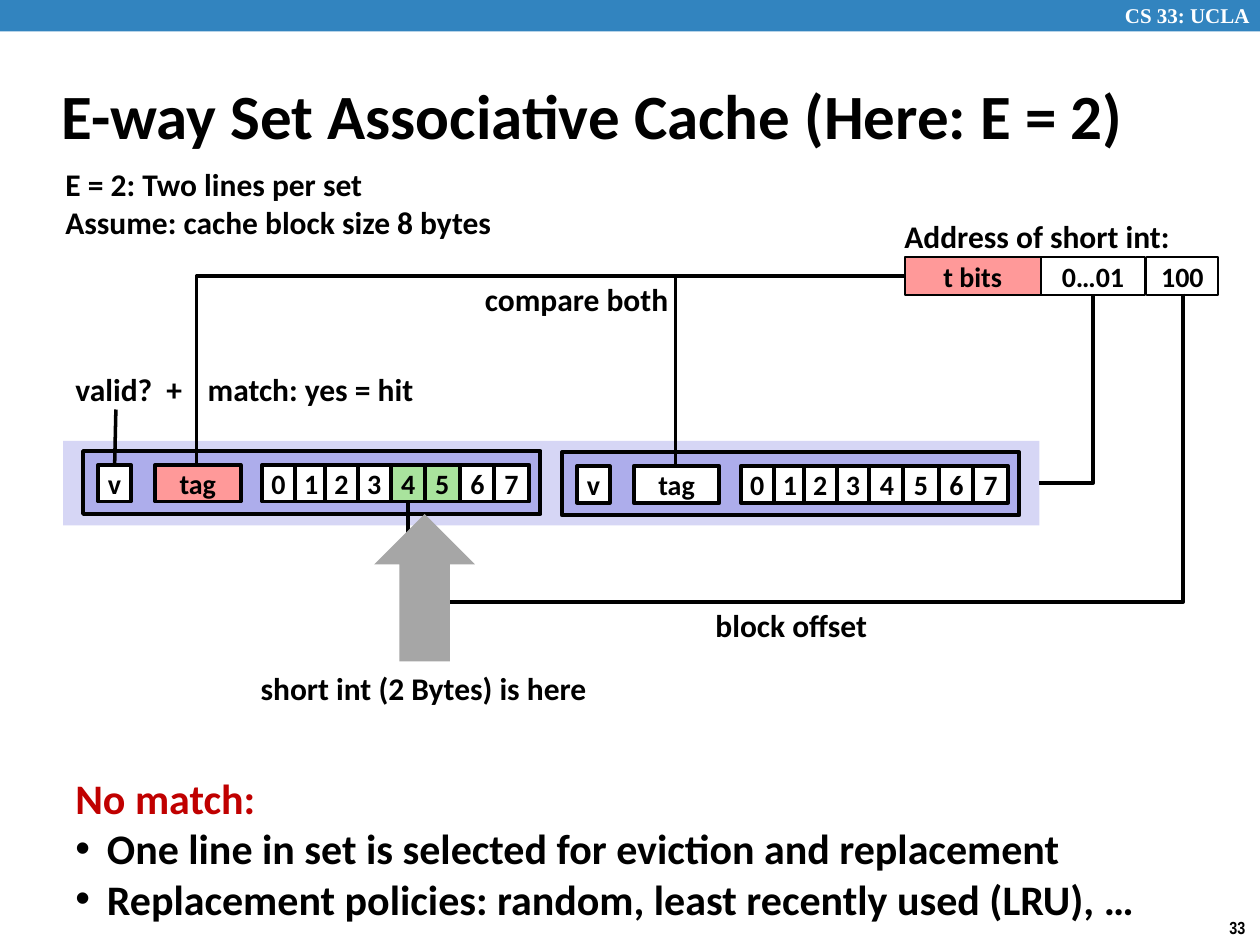
from dataclasses import dataclass

from lxml import etree
from pptx import Presentation
from pptx.dml.color import RGBColor
from pptx.enum import shapes, text
from pptx.oxml import ns
from pptx.util import Inches, Pt


@dataclass(frozen=True)
class Theme:
    """Colours, fonts and type sizes of the slide."""
    banner: str = "3284BF"
    white: str = "FFFFFF"
    black: str = "000000"
    tag: str = "FF9999"
    cache_set: str = "D6D6F5"
    way: str = "ADADEB"
    hit: str = "A9E39D"
    arrow: str = "A6A6A6"
    alert: str = "C00000"
    body_font: str = "Calibri"
    banner_font: str = "Times New Roman"
    number_font: str = "Arial Narrow"
    title: int = 36
    summary: int = 24
    label: int = 18
    cell: int = 16
    banner_size: int = 12
    number: int = 10


THEME = Theme()
BYTE_OFFSETS = (1.42, 1.68, 1.92, 2.18, 2.44, 2.71, 2.99, 3.26)


def rgb(colour):
    """Turn a hex string into a colour."""
    return RGBColor.from_string(colour)


def sub(parent, tag, **attrs):
    """Append a DrawingML element to a parent."""
    return etree.SubElement(parent, ns.qn(tag), attrs)


def write(tf, lines, size=THEME.label, font=THEME.body_font, colour=THEME.black,
          align=text.PP_ALIGN.LEFT, anchor=text.MSO_ANCHOR.TOP, wrap=False,
          grow=False, bulleted=(), first_colour=None):
    """Fill a text frame with bold paragraphs in the given format."""
    tf.word_wrap = wrap
    tf.vertical_anchor = anchor
    tf.auto_size = text.MSO_AUTO_SIZE.SHAPE_TO_FIT_TEXT if grow else text.MSO_AUTO_SIZE.NONE
    for i, line in enumerate(lines):
        p = tf.paragraphs[0] if i == 0 else tf.add_paragraph()
        p.alignment = align
        if i in bulleted:
            pPr = p._p.get_or_add_pPr()
            pPr.set("marL", str(Inches(0.25)))
            pPr.set("indent", str(Inches(-0.25)))
            sub(pPr, "a:buFont", typeface="Arial")
            sub(pPr, "a:buChar", char="•")
        r = p.add_run()
        r.text = line
        r.font.name, r.font.size, r.font.bold = font, Pt(size), True
        r.font.color.rgb = rgb(first_colour if first_colour and i == 0 else colour)


def label(s, box, *lines, grow=True, **fmt):
    """Add a text box."""
    sp = s.shapes.add_textbox(*map(Inches, box))
    write(sp.text_frame, lines, grow=grow, **fmt)
    return sp


def block(s, box, fill, line=None, caption=None, wrap=False,
          kind=shapes.MSO_SHAPE.RECTANGLE):
    """Add a filled shape with an optional outline width and centred caption."""
    sp = s.shapes.add_shape(kind, *map(Inches, box))
    sp.shadow.inherit = False
    sp.fill.solid()
    sp.fill.fore_color.rgb = rgb(fill)
    if line:
        sp.line.color.rgb = rgb(THEME.black)
        sp.line.width = Pt(line)
    else:
        sp.line.fill.background()
    if caption:
        write(sp.text_frame, [caption], size=THEME.cell, wrap=wrap,
              align=text.PP_ALIGN.CENTER, anchor=text.MSO_ANCHOR.MIDDLE)
    return sp


def wire(s, start, end, kind=shapes.MSO_CONNECTOR.STRAIGHT):
    """Add a black connector between two points."""
    c = s.shapes.add_connector(kind, *map(Inches, (*start, *end)))
    c.line.color.rgb = rgb(THEME.black)
    c.line.width = Pt(2)
    sub(c._element.spPr, "a:effectLst")
    return c


def elbow(s, box, preset, turn, flip=False, bend=None):
    """Add a bent connector whose unrotated box is turned by some degrees."""
    x, y, w, h = box
    c = wire(s, (x, y), (x + w, y + h), shapes.MSO_CONNECTOR.ELBOW)
    spPr = c._element.spPr
    xfrm = spPr.find(ns.qn("a:xfrm"))
    xfrm.set("rot", str(turn * 60000))
    if flip:
        xfrm.set("flipV", "1")
    geom = spPr.find(ns.qn("a:prstGeom"))
    geom.set("prst", preset)
    if bend:
        guides = geom.find(ns.qn("a:avLst"))
        if guides is None:
            guides = sub(geom, "a:avLst")
        sub(guides, "a:gd", name="adj1", fmla=f"val {bend}")


def frame(s, width):
    """Place the banner, page number and title."""
    block(s, (0, 0, width, 0.25), THEME.banner)
    label(s, (8.83, -0.03, 1.24, 0.3), "CS 33: UCLA", size=THEME.banner_size,
          font=THEME.banner_font, colour=THEME.white, wrap=True)
    label(s, (9.66, 7.23, 0.34, 0.27), "33", size=THEME.number, font=THEME.number_font)
    label(s, (0.39, 0.49, 9.02, 0.83), "E-way Set Associative Cache (Here: E = 2)",
          size=THEME.title, anchor=text.MSO_ANCHOR.MIDDLE, wrap=True, grow=False)


def address(s, x, y):
    """Place the address fields in a row with their heading."""
    label(s, (x - 0.1, y - 0.37, 2.33, 0.4), "Address of short int:")
    fields = (("t bits", 0, 1.08, THEME.tag), ("0…01", 1.08, 0.83, THEME.white),
              ("100", 1.92, 0.57, THEME.white))
    for caption, dx, w, fill in fields:
        block(s, (x + dx, y, w, 0.3), fill, 1, caption, wrap=True)


def cache_way(s, x, y, tag_fill=THEME.white, hits=()):
    """Place one cache line and return its valid-bit cell."""
    block(s, (x, y, 3.63, 0.5), THEME.way, 2.25)

    def cell(dx, w, caption, fill=THEME.white):
        """Place one cell inside the cache line."""
        return block(s, (x + dx, y + 0.11, w, 0.29), fill, 2.25, caption)

    for i, dx in enumerate(BYTE_OFFSETS):
        cell(dx, 0.26 if i < 4 else 0.28, str(i), THEME.hit if i in hits else THEME.white)
    cell(0.57, 0.68, "tag", tag_fill)
    return cell(0.12, 0.26, "v")


def cache_set(s, x, y):
    """Place the set with its two lines and return the first valid-bit cell."""
    block(s, (x, y, 7.75, 0.67), THEME.cache_set)
    valid = cache_way(s, x + 0.16, y + 0.08, THEME.tag, hits=(4, 5))
    cache_way(s, x + 3.96, y + 0.09)
    return valid


def lookup(s, valid):
    """Place the wires, their labels and the result arrow."""
    elbow(s, (7.71, 2.87, 1.5, 0.43), "bentConnector2", 90)
    for tag_x in (5.36, 1.56):
        elbow(s, (tag_x, 2.19, 7.18 - tag_x, 1.51), "bentConnector2", 180, flip=True)
    wire(s, (0.92, 3.25), (0.91, 3.69)).end_connect(valid, 0)
    elbow(s, (5.49, 0.08, 1.65, 6.15), "bentConnector3", 90, bend=148400)
    block(s, (2.97, 4.08, 0.8, 1.17), THEME.arrow, kind=shapes.MSO_SHAPE.UP_ARROW)
    label(s, (3.75, 2.17, 1.67, 0.4), "compare both")
    label(s, (0.5, 2.89, 1.12, 0.4), "valid?  +")
    label(s, (1.55, 2.89, 1.85, 0.4), "match: yes = hit")
    label(s, (5.58, 4.76, 1.42, 0.4), "block offset")
    label(s, (1.97, 5.26, 2.81, 0.4), "short int (2 Bytes) is here")


def main():
    """Build and save the slide."""
    prs = Presentation()
    prs.slide_width, prs.slide_height = Inches(10), Inches(7.5)
    s = prs.slides.add_slide(prs.slide_layouts[6])
    frame(s, 10)
    label(s, (0.42, 1.26, 3.61, 0.71), "E = 2: Two lines per set",
          "Assume: cache block size 8 bytes")
    address(s, 7.18, 2.04)
    lookup(s, cache_set(s, 0.5, 3.5))
    label(s, (0.5, 6.08, 8.73, 1.31), "No match:",
          "One line in set is selected for eviction and replacement",
          "Replacement policies: random, least recently used (LRU), …",
          size=THEME.summary, first_colour=THEME.alert, bulleted=(1, 2))
    prs.save("out.pptx")


if __name__ == "__main__":
    main()
